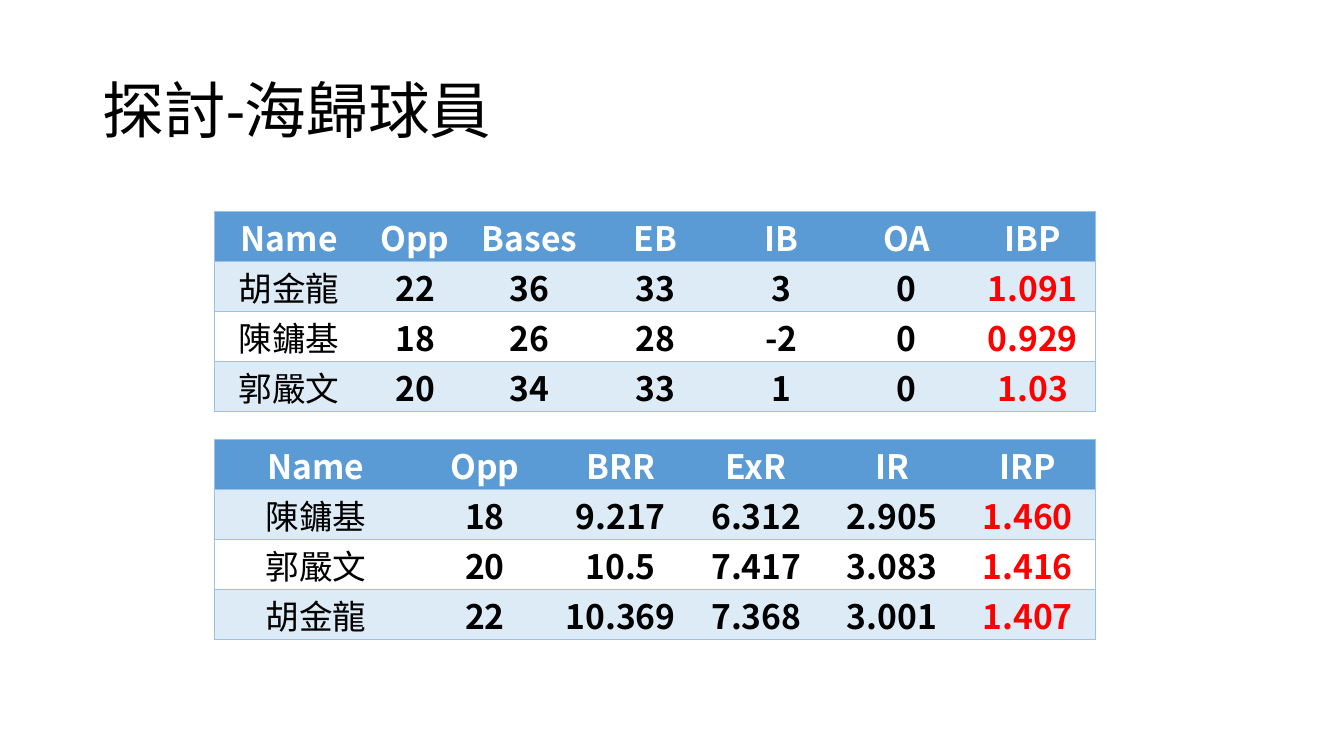
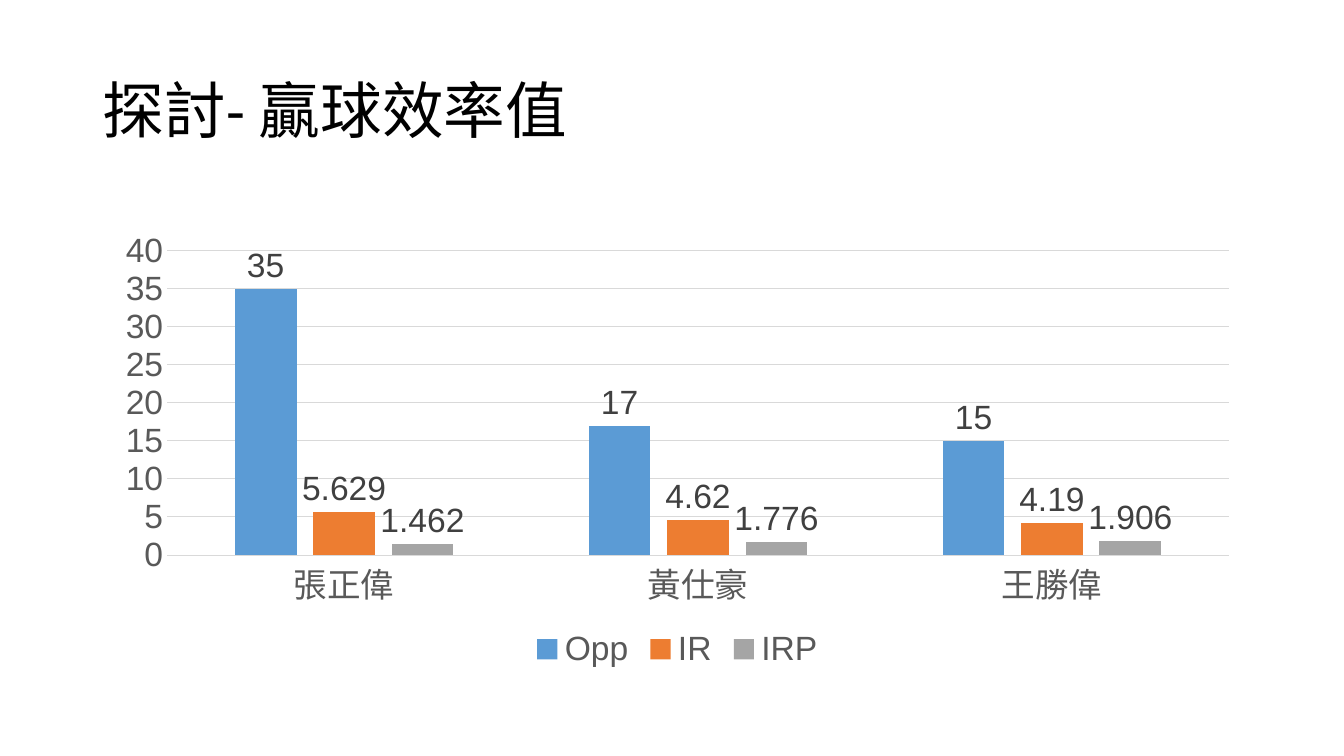
"""Build two slides on baseball players: two result tables and a column chart."""
import pptx
import pptx.chart.data
import pptx.dml.color
import pptx.enum.chart
import pptx.enum.text
import pptx.oxml
import pptx.oxml.ns
import pptx.util
from pptx.util import Cm

COLOURS = {
    "black": "000000", "white": "FFFFFF", "header": "5B9BD5", "band": "DDEBF7",
    "border": "9BC2E6", "highlight": "FF0000", "grid": "D9D9D9",
    "axis": "595959", "label": "404040",
    "Opp": "5B9BD5", "IR": "ED7D31", "IRP": "A5A5A5",
}
CJK_FONT = "Noto Sans CJK TC"
PLAIN_TABLE_STYLE = "{2D5ABB26-0587-4C30-8999-92F81FD0307C}"


def rgb(name):
    """Return the named colour."""
    return pptx.dml.color.RGBColor.from_string(COLOURS[name])


def write(frame, text, size=24, font=CJK_FONT, colour="black", bold=False,
          align=pptx.enum.text.PP_ALIGN.CENTER, spacing=1.0):
    """Put one formatted paragraph into a text frame."""
    paragraph = frame.paragraphs[0]
    paragraph.alignment = align
    paragraph.line_spacing = spacing
    run = paragraph.add_run()
    run.text = text
    run.font.size = pptx.util.Pt(size)
    run.font.name = font
    run.font.bold = bold
    run.font.color.rgb = rgb(colour)
    east_asian = pptx.oxml.parse_xml(
        f'<a:ea {pptx.oxml.ns.nsdecls("a")} typeface="{CJK_FONT}"/>')
    run.font._element.find(pptx.oxml.ns.qn("a:latin")).addnext(east_asian)


deck = pptx.Presentation()
deck.slide_width, deck.slide_height = Cm(33.87), Cm(19.05)

slides = []
for heading in ["探討-海歸球員", "探討- 贏球效率值"]:
    slide = deck.slides.add_slide(deck.slide_layouts[5])
    title = slide.shapes.title
    title.left, title.top, title.width, title.height = Cm(2.34), Cm(1.02), Cm(29.21), Cm(3.68)
    frame = title.text_frame
    frame.auto_size = pptx.enum.text.MSO_AUTO_SIZE.NONE
    frame.word_wrap = True
    frame.vertical_anchor = pptx.enum.text.MSO_ANCHOR.MIDDLE
    frame.margin_left = frame.margin_right = Cm(0.25)
    frame.margin_top = frame.margin_bottom = Cm(0.25)
    write(frame, heading, size=44, font="Calibri",
          align=pptx.enum.text.PP_ALIGN.LEFT, spacing=0.9)
    slides.append(slide)
players_slide, efficiency_slide = slides

base_running = [
    ["Name", "Opp", "Bases", "EB", "IB", "OA", "IBP"],
    ["胡金龍", "22", "36", "33", "3", "0", "1.091"],
    ["陳鏞基", "18", "26", "28", "-2", "0", "0.929"],
    ["郭嚴文", "20", "34", "33", "1", "0", "1.03"],
]
run_production = [
    ["Name", "Opp", "BRR", "ExR", "IR", "IRP"],
    ["陳鏞基", "18", "9.217", "6.312", "2.905", "1.460"],
    ["郭嚴文", "20", "10.5", "7.417", "3.083", "1.416"],
    ["胡金龍", "22", "10.369", "7.368", "3.001", "1.407"],
]
row_height = 1.26
for top, widths, rows in [
    (5.33, [3.75, 2.6] + [3.17] * 5, base_running),
    (11.07, [5.1] + [3.42] * 5, run_production),
]:
    holder = players_slide.shapes.add_table(
        len(rows), len(widths), Cm(5.41), Cm(top), Cm(sum(widths)), Cm(row_height * len(rows)))
    results = holder.table
    results.first_row = results.horz_banding = False
    next(holder._element.iter(pptx.oxml.ns.qn("a:tableStyleId"))).text = PLAIN_TABLE_STYLE
    for column, width in zip(results.columns, widths):
        column.width = Cm(width)
    last = len(widths) - 1
    for r, row in enumerate(rows):
        for c, value in enumerate(row):
            cell = results.cell(r, c)
            cell.margin_left = cell.margin_right = cell.margin_top = Cm(0.03)
            cell.margin_bottom = 0
            cell.vertical_anchor = pptx.enum.text.MSO_ANCHOR.MIDDLE
            sides = ["L"] * (c == 0) + ["R"] * (c == last) + ["T", "B"]
            for side in sides:
                cell._tc.get_or_add_tcPr().append(pptx.oxml.parse_xml(
                    f'<a:ln{side} {pptx.oxml.ns.nsdecls("a")} w="6350"><a:solidFill>'
                    f'<a:srgbClr val="{COLOURS["border"]}"/></a:solidFill></a:ln{side}>'))
            if r == 2:
                cell.fill.background()
            else:
                cell.fill.solid()
                cell.fill.fore_color.rgb = rgb("header" if r == 0 else "band")
            colour = "white" if r == 0 else "highlight" if c == last else "black"
            write(cell.text_frame, value, colour=colour, bold=r == 0 or c > 0)

efficiency = pptx.chart.data.CategoryChartData()
efficiency.categories = ["張正偉", "黃仕豪", "王勝偉"]
efficiency.add_series("Opp", [35, 17, 15])
efficiency.add_series("IR", [5.629, 4.62, 4.19])
efficiency.add_series("IRP", [1.462, 1.776, 1.906])
chart = efficiency_slide.shapes.add_chart(
    pptx.enum.chart.XL_CHART_TYPE.COLUMN_CLUSTERED,
    Cm(2.59), Cm(5.61), Cm(28.96), Cm(11.4), efficiency).chart
chart.has_title = False
chart.has_legend = True
chart.legend.position = pptx.enum.chart.XL_LEGEND_POSITION.BOTTOM
chart.legend.include_in_layout = False

plot = chart.plots[0]
plot.gap_width, plot.overlap = 219, -27
plot.vary_by_categories = False
fonts = [(chart.font, "black"), (chart.legend.font, "axis")]
for series in plot.series:
    series.format.fill.solid()
    series.format.fill.fore_color.rgb = rgb(series.name)
    series.invert_if_negative = False
    labels = series.data_labels
    labels.show_value = True
    labels.position = pptx.enum.chart.XL_LABEL_POSITION.OUTSIDE_END
    fonts.append((labels.font, "label"))

for axis in [chart.category_axis, chart.value_axis]:
    axis.major_tick_mark = axis.minor_tick_mark = pptx.enum.chart.XL_TICK_MARK.NONE
    fonts.append((axis.tick_labels.font, "axis"))
chart.value_axis.minimum_scale, chart.value_axis.maximum_scale = 0, 40
chart.value_axis.major_unit = 5
chart.value_axis.has_major_gridlines = True
chart.value_axis.format.line.fill.background()
for line in [chart.category_axis.format.line, chart.value_axis.major_gridlines.format.line]:
    line.color.rgb = rgb("grid")
    line.width = pptx.util.Pt(0.75)
for font, colour in fonts:
    font.size = pptx.util.Pt(24)
    font.name = "Arial"
    font.bold = False
    font.color.rgb = rgb(colour)

deck.save("out.pptx")
